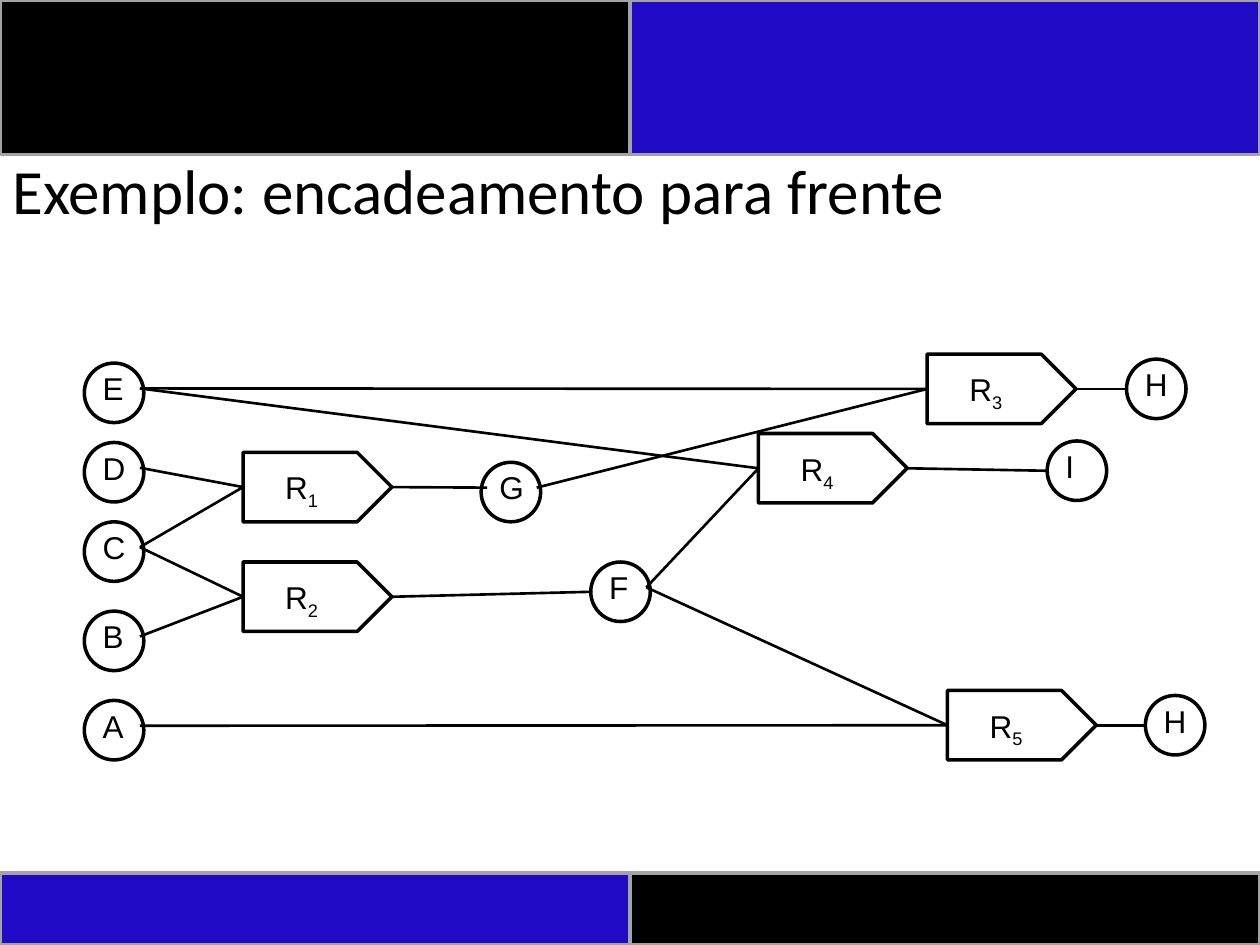
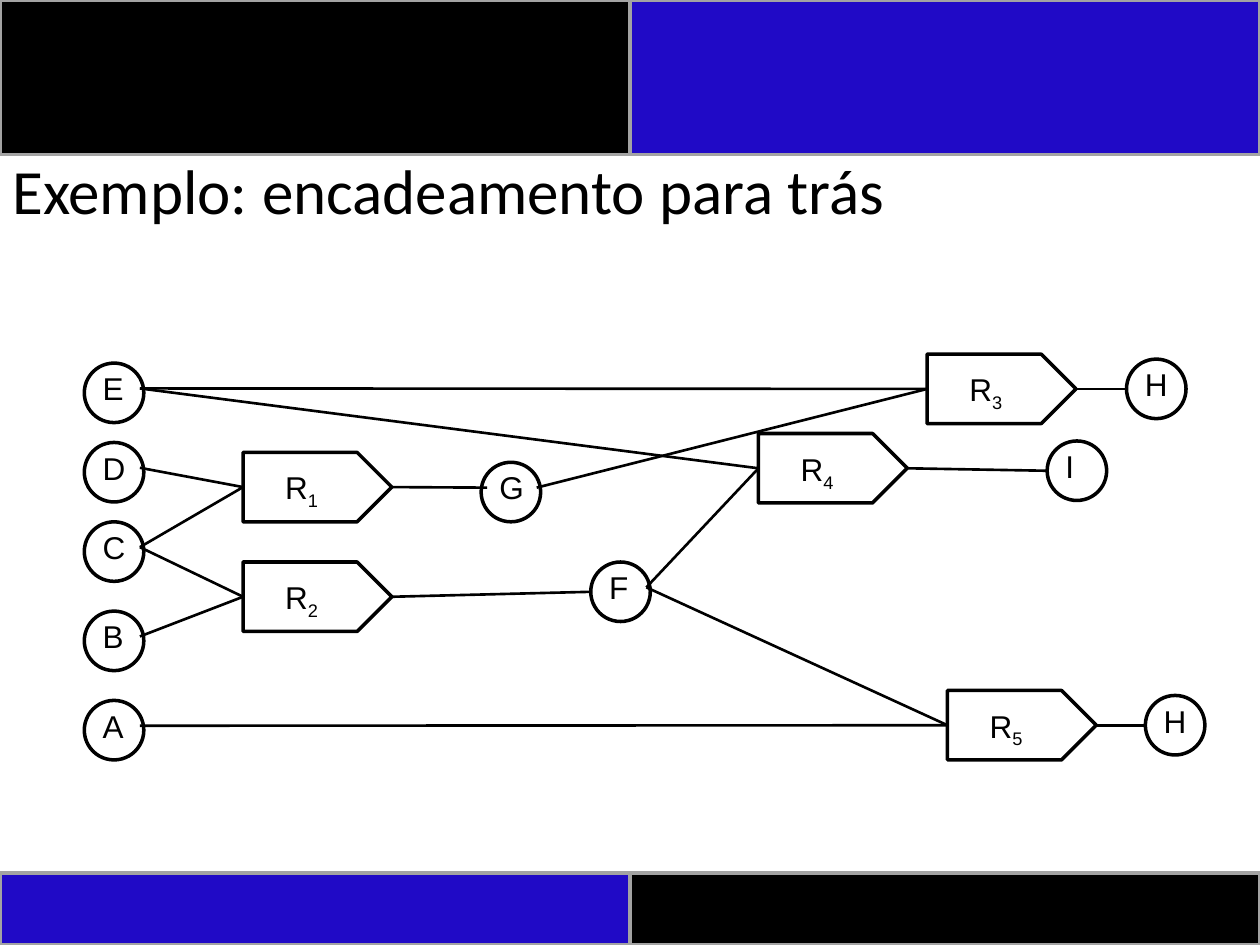
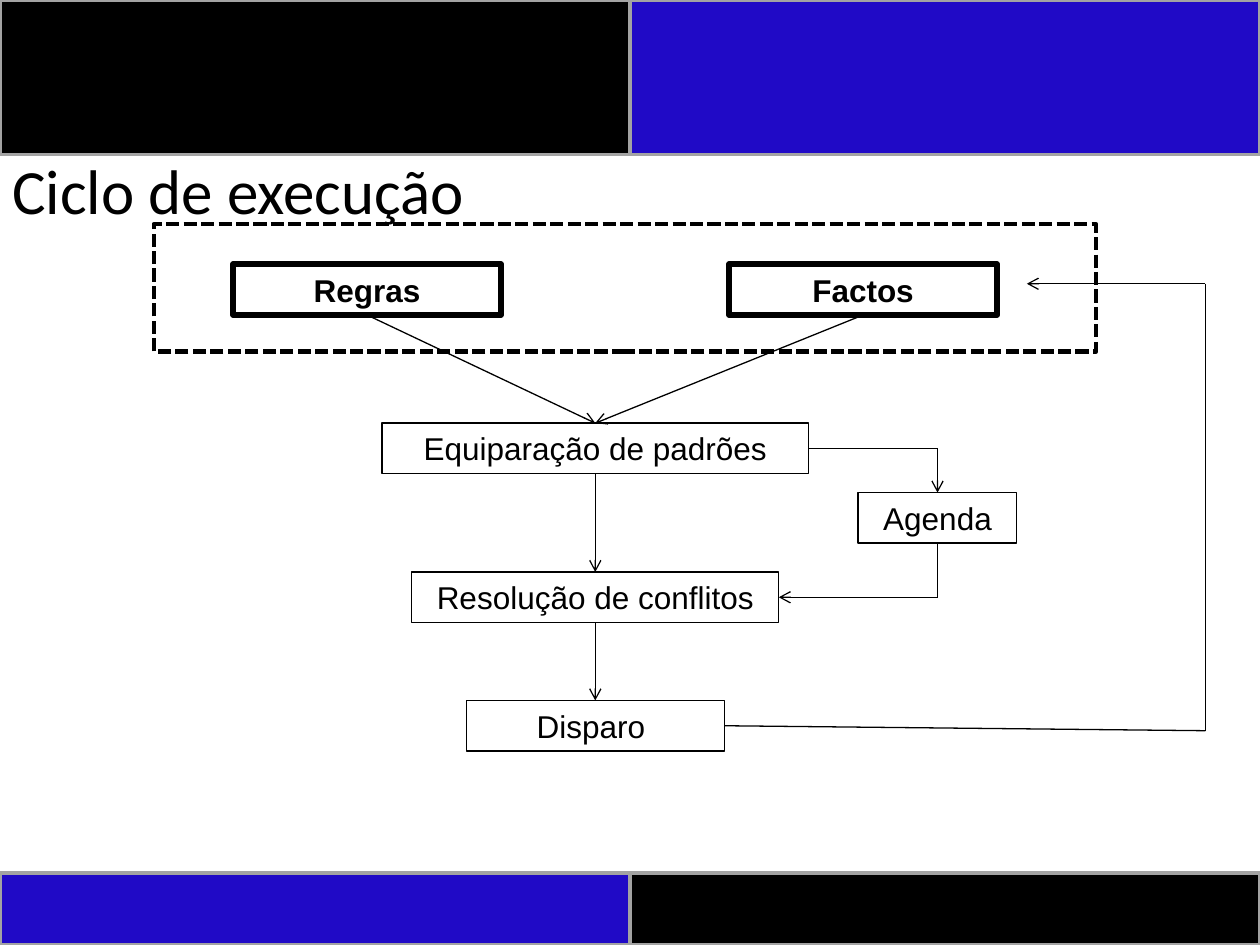
import pptx
import pptx.util
import pptx.dml.color
import pptx.enum.dml
import pptx.enum.shapes
import pptx.enum.text
import pptx.oxml.ns
from lxml import etree

Cm, Pt = pptx.util.Cm, pptx.util.Pt
RGBColor = pptx.dml.color.RGBColor
SHAPE = pptx.enum.shapes.MSO_SHAPE
ALIGN = pptx.enum.text.PP_ALIGN
ANCHOR = pptx.enum.text.MSO_ANCHOR
GROW = pptx.enum.text.MSO_AUTO_SIZE.SHAPE_TO_FIT_TEXT
DASH = pptx.enum.dml.MSO_LINE.SQUARE_DOT
qn = pptx.oxml.ns.qn

# Shared look, lengths in cm
BLACK = RGBColor(0x00, 0x00, 0x00)
BLUE = RGBColor(0x20, 0x0A, 0xC6)
GREY = RGBColor(0xA3, 0xA3, 0xA3)
WIDTH, HEIGHT = 25.4, 19.05
HALF = WIDTH / 2
HEAD_H, FOOT_H = 3.12, 1.45
TITLE_H = 1.4
TITLE_FONT = {"name": "Calibri", "size": Pt(36)}
BODY_FONT = {"name": "Arial", "size": Pt(18)}
TEXT_H = 1.02

# Inference network: facts are circles, rules are pentagons
CIRCLE, RULE_W, RULE_H = 1.2, 3.0, 1.4
FACT_LABEL = (0.12, 0, 1.0)  # dx, dy, width
RULE_LABEL = (0.6, 0.2, 1.4)
FACTS = {
    "E": (1.7, 7.32), "D": (1.7, 8.92), "C": (1.7, 10.52),
    "B": (1.7, 12.32), "A": (1.7, 14.12),
    "F": (11.91, 11.33), "G": (9.7, 9.32), "I": (21.11, 8.89),
    "H3": (22.71, 7.24), "H5": (23.09, 14.02),
}
RULES = {
    "R1": (4.9, 9.12), "R2": (4.9, 11.33), "R3": (18.69, 7.14),
    "R4": (15.29, 8.74), "R5": (19.1, 13.92),
}
LINKS = [
    ("E", "R3"), ("E", "R4"), ("D", "R1"), ("C", "R1"), ("C", "R2"),
    ("B", "R2"), ("A", "R5"), ("R1", "G"), ("R2", "F"), ("F", "R4"),
    ("F", "R5"), ("G", "R3"), ("R3", "H3"), ("R4", "I"), ("R5", "H5"),
]

# Execution cycle: text, centre, top, width, line width, bold
CYCLE_BOXES = [
    ("Regras", 7.4, 5.33, 5.4, 3.5, True),
    ("Factos", 17.4, 5.33, 5.4, 3.5, True),
    ("Equiparação de padrões", 12, 8.53, 8.6, 0.75, False),
    ("Resolução de conflitos", 12, 11.53, 7.4, 0.75, False),
    ("Agenda", 18.9, 9.93, 3.2, 0.75, False),
    ("Disparo ", 12, 14.12, 5.2, 0.75, False),
]
# Each path ends in an arrowhead
CYCLE_PATHS = [
    [(7.4, 6.35), (12, 8.53)],
    [(17.4, 6.35), (12, 8.53)],
    [(12, 9.55), (12, 11.53)],
    [(12, 12.55), (12, 14.12)],
    [(16.3, 9.04), (18.9, 9.04), (18.9, 9.93)],
    [(18.9, 10.95), (18.9, 12.04), (15.7, 12.04)],
    [(14.6, 14.63), (24.3, 14.73), (24.3, 5.72), (20.7, 5.72)],
]


def add_run(p, text, **font):
    r = p.add_run()
    r.text = text
    r.font.color.rgb = BLACK
    for key, value in font.items():
        setattr(r.font, key, value)
    return r


def add_box(s, kind, x, y, w, h, line_w, line=BLACK, fill=None):
    sp = s.shapes.add_shape(kind, Cm(x), Cm(y), Cm(w), Cm(h))
    sp.shadow.inherit = False
    if fill is None:
        sp.fill.background()
    else:
        sp.fill.solid()
        sp.fill.fore_color.rgb = fill
    sp.line.color.rgb = line
    sp.line.width = Pt(line_w)
    return sp


def add_line(s, start, end, line_w, arrow=False):
    points = [Cm(v) for v in (*start, *end)]
    c = s.shapes.add_connector(pptx.enum.shapes.MSO_CONNECTOR.STRAIGHT, *points)
    c.line.color.rgb = BLACK
    c.line.width = Pt(line_w)
    if arrow:
        etree.SubElement(c.line._get_or_add_ln(), qn("a:tailEnd"), type="arrow")
    etree.SubElement(c._element.spPr, qn("a:effectLst"))


def add_text(s, x, y, w, h):
    tf = s.shapes.add_textbox(Cm(x), Cm(y), Cm(w), Cm(h)).text_frame
    tf.word_wrap = True
    return tf


def add_slide(prs, title):
    s = prs.slides.add_slide(prs.slide_layouts[6])
    # Bands at the top and bottom
    foot_y = HEIGHT - FOOT_H
    for x, y, h, fill in ((HALF, foot_y, FOOT_H, BLACK), (0, foot_y, FOOT_H, BLUE),
                          (0, 0, HEAD_H, BLACK), (HALF, 0, HEAD_H, BLUE)):
        add_box(s, SHAPE.RECTANGLE, x, y, HALF, h, 2, GREY, fill)
    # Title
    tf = add_text(s, 0, HEAD_H, WIDTH, TITLE_H)
    tf.vertical_anchor = ANCHOR.MIDDLE
    add_run(tf.paragraphs[0], title, **TITLE_FONT)
    return s


def add_node(s, kind, x, y, w, h, label, name):
    add_box(s, kind, x, y, w, h, 2)
    dx, dy, label_w = label
    tf = add_text(s, x + dx, y + dy, label_w, TEXT_H)
    tf.auto_size = GROW
    p = tf.paragraphs[0]
    add_run(p, name[0], **BODY_FONT)
    if kind == SHAPE.PENTAGON:
        r = add_run(p, name[1], **BODY_FONT)
        r._r.get_or_add_rPr().set("baseline", "-25000")


def link_start(name):
    if name in RULES:
        x, y = RULES[name]
        return x + RULE_W, y + RULE_H / 2
    x, y = FACTS[name]
    return x + FACT_LABEL[0] + FACT_LABEL[2], y + TEXT_H / 2


def link_end(name):
    if name in RULES:
        x, y = RULES[name]
        return x, y + RULE_H / 2
    x, y = FACTS[name]
    if name == "G":  # this link reaches the label inside the circle
        return x + FACT_LABEL[0], y + TEXT_H / 2
    return x, y + CIRCLE / 2


def add_network(s):
    for name, (x, y) in FACTS.items():
        add_node(s, SHAPE.OVAL, x, y, CIRCLE, CIRCLE, FACT_LABEL, name)
    for name, (x, y) in RULES.items():
        add_node(s, SHAPE.PENTAGON, x, y, RULE_W, RULE_H, RULE_LABEL, name)
    for source, target in LINKS:
        add_line(s, link_start(source), link_end(target), 1.5)


def add_cycle(s):
    # Dashed frame around rules and facts
    frame = add_box(s, SHAPE.RECTANGLE, 3.1, 4.52, 19, 2.57, 2.5)
    frame.line.dash_style = DASH
    # Steps
    for text, centre, y, w, line_w, bold in CYCLE_BOXES:
        sp = add_box(s, SHAPE.RECTANGLE, centre - w / 2, y, w, TEXT_H, line_w)
        tf = sp.text_frame
        tf.word_wrap = True
        tf.auto_size = GROW
        tf.vertical_anchor = ANCHOR.TOP
        p = tf.paragraphs[0]
        p.alignment = ALIGN.CENTER
        add_run(p, text, bold=bold, **BODY_FONT)
    # Flow
    for points in CYCLE_PATHS:
        for start, end in zip(points, points[1:]):
            add_line(s, start, end, 0.75, arrow=end == points[-1])


def main():
    prs = pptx.Presentation()
    prs.slide_width, prs.slide_height = Cm(WIDTH), Cm(HEIGHT)
    for direction in ("frente", "trás"):
        add_network(add_slide(prs, f"Exemplo: encadeamento para {direction}"))
    add_cycle(add_slide(prs, "Ciclo de execução"))
    prs.save("out.pptx")


main()
